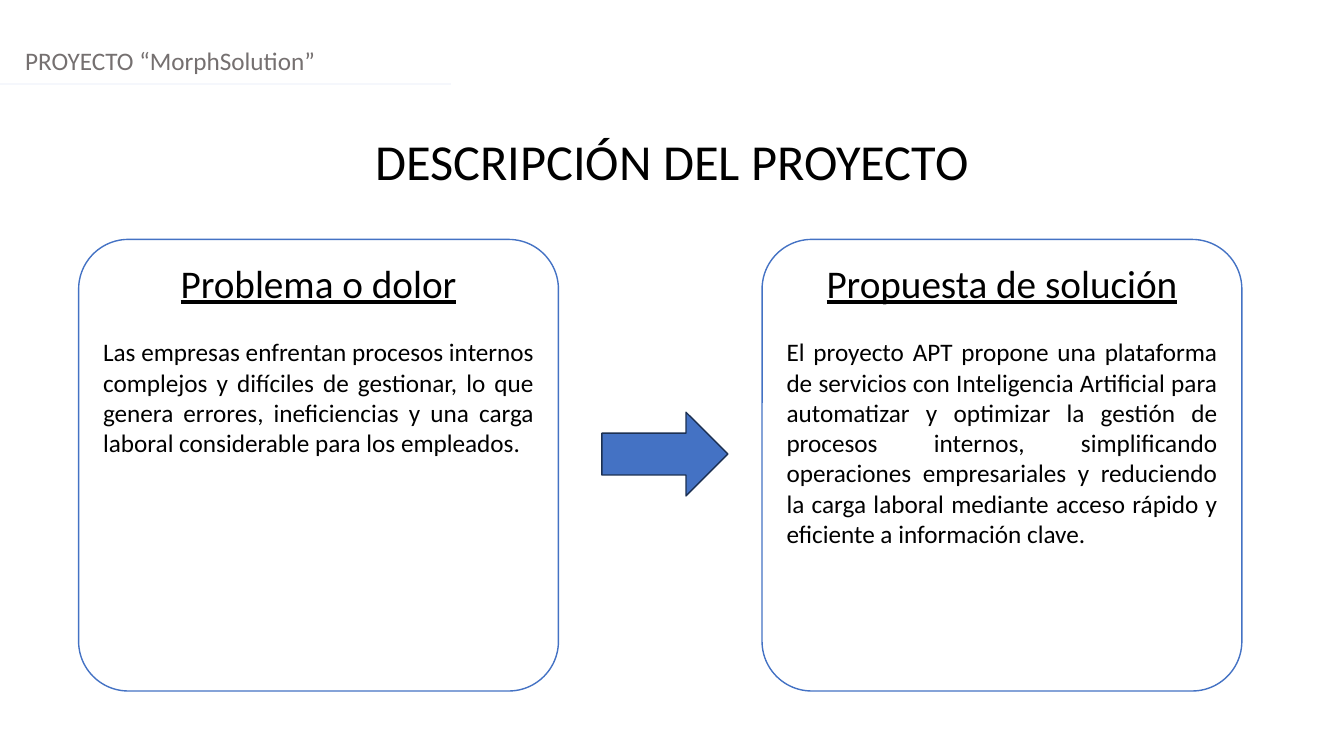
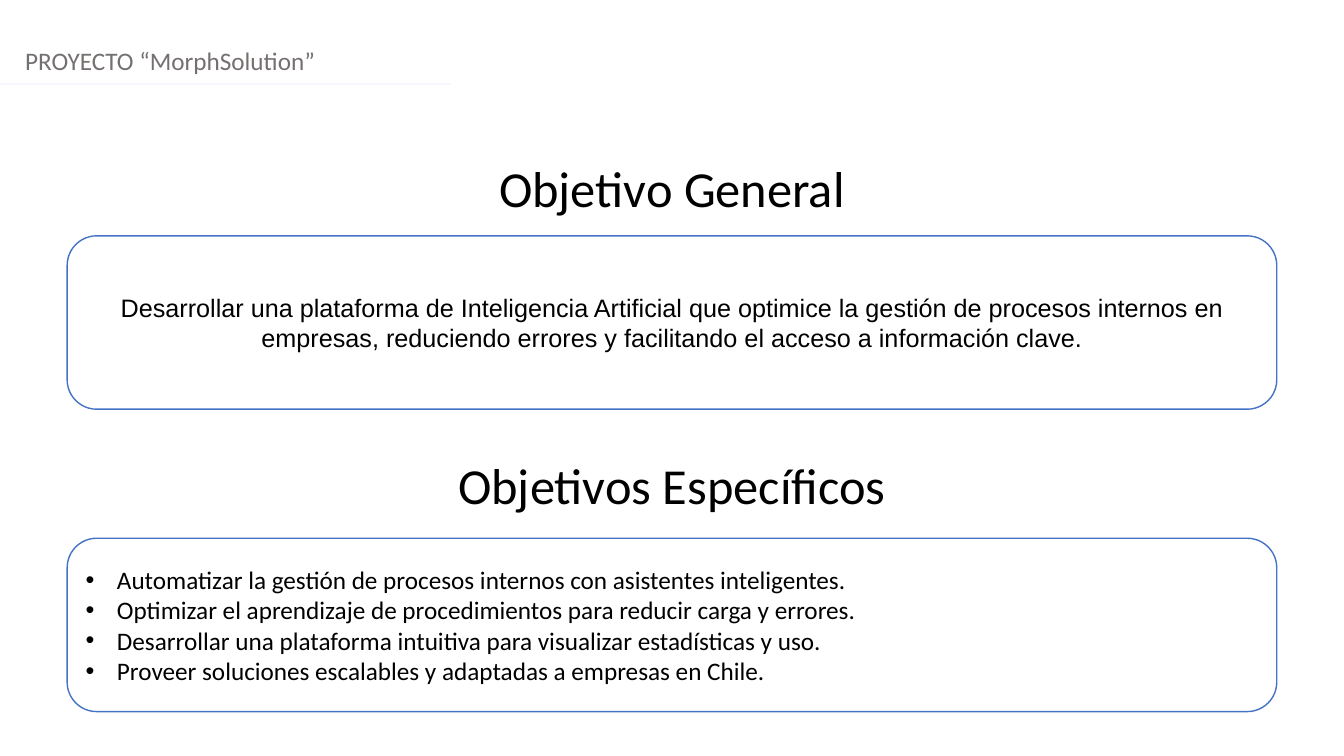
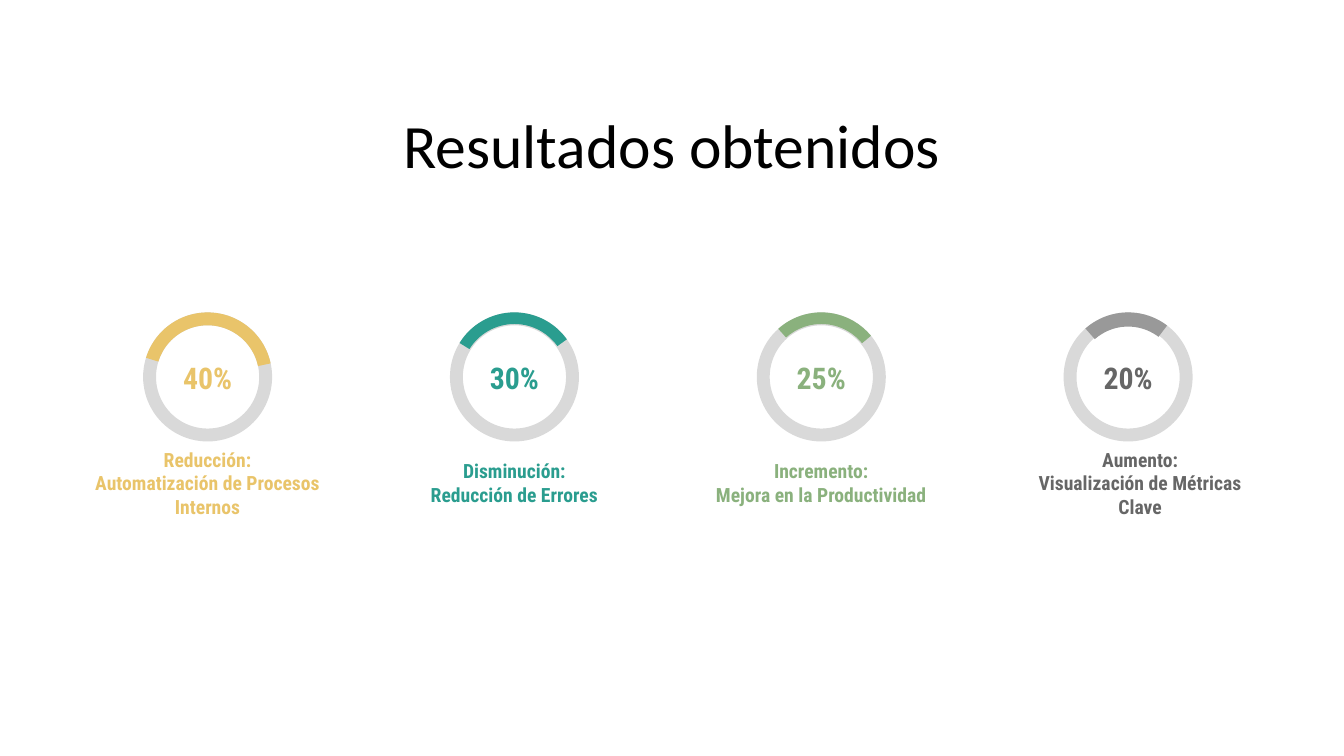
import pptx
import pptx.dml.color
import pptx.enum.shapes
import pptx.enum.text
import pptx.oxml.xmlchemy
import pptx.util

WIDTH, HEIGHT = pptx.util.Inches(13.33), pptx.util.Inches(7.5)
BLACK, WHITE, BLUE, NAVY = "000000", "FFFFFF", "4472C4", "1C3052"
GREY, RULE, TRACK = "757070", "F5F7FC", "D9D9D9"
BODY, LABEL = "Calibri", "Roboto Condensed"
SHAPE = pptx.enum.shapes.MSO_SHAPE
ALIGN = pptx.enum.text.PP_ALIGN
ANCHOR = pptx.enum.text.MSO_ANCHOR


def rgb(color):
    """Turn a hex string into a colour."""
    return pptx.dml.color.RGBColor.from_string(color)


def place(x, y, w, h):
    """Turn percentages of the slide into left, top, width and height."""
    return [int(side * share / 100) for side, share in
            ((WIDTH, x), (HEIGHT, y), (WIDTH, w), (HEIGHT, h))]


def set_frame(sp, anchor=ANCHOR.TOP, inset=None):
    """Make the shape's text wrap inside its margins and return its frame."""
    tf = sp.text_frame
    tf.word_wrap = True
    tf.vertical_anchor = anchor
    if inset is not None:
        margin = pptx.util.Inches(inset)
        tf.margin_left = tf.margin_right = margin
        tf.margin_top = tf.margin_bottom = margin
    return tf


def add_paragraph(tf, text, size, color=BLACK, font=BODY, align=ALIGN.CENTER,
                  bold=False, underline=False, after=0):
    """Write one paragraph, using the frame's first one while it is empty."""
    p = tf.paragraphs[0] if not tf.paragraphs[0].runs else tf.add_paragraph()
    p.alignment = align
    p.space_after = pptx.util.Pt(after)
    r = p.add_run()
    r.text = text
    r.font.name = font
    r.font.size = pptx.util.Pt(size)
    r.font.bold = bold
    r.font.underline = underline
    r.font.color.rgb = rgb(color)
    return p


def add_bullet(p):
    """Give a paragraph a round bullet with a hanging indent."""
    pPr = p._p.get_or_add_pPr()
    indent = pptx.util.Inches(0.31)
    pPr.set("marL", str(indent))
    pPr.set("indent", str(-indent))
    for tag, key, value in (("a:buFont", "typeface", "Arial"),
                            ("a:buChar", "char", "•")):
        bullet = pptx.oxml.xmlchemy.OxmlElement(tag)
        bullet.set(key, value)
        pPr.append(bullet)


def add_shape(slide, kind, box, fill, line=None, adjustments=()):
    """Draw a flat preset shape."""
    sp = slide.shapes.add_shape(kind, *place(*box))
    sp.shadow.inherit = False
    sp.fill.solid()
    sp.fill.fore_color.rgb = rgb(fill)
    if line:
        sp.line.color.rgb = rgb(line)
        sp.line.width = pptx.util.Pt(1)
    else:
        sp.line.fill.background()
    for i, value in enumerate(adjustments):
        sp.adjustments[i] = value
    return sp


def add_label(slide, box, lines, size, color):
    """Write bold centred lines in the middle of a box."""
    sp = slide.shapes.add_textbox(*place(*box))
    tf = set_frame(sp, ANCHOR.MIDDLE, 0.13)
    for text in lines:
        add_paragraph(tf, text, size, color, LABEL, bold=True)


def add_title(slide, y, text, size=36):
    """Write a title centred across the slide."""
    sp = slide.shapes.add_textbox(*place(0, y, 100, size * 0.26))
    add_paragraph(set_frame(sp), text, size)


def add_header(slide):
    """Write the project name with a thin rule below it."""
    sp = slide.shapes.add_textbox(*place(1.13, 5.33, 98, 5.33))
    add_paragraph(set_frame(sp), "PROYECTO “MorphSolution”", 18, GREY, align=ALIGN.LEFT)
    x, y, w, h = place(0, 11.07, 33.53, 0)
    rule = slide.shapes.add_connector(
        pptx.enum.shapes.MSO_CONNECTOR.STRAIGHT, x, y, x + w, y + h)
    rule.line.color.rgb = rgb(RULE)
    rule.line.width = pptx.util.Pt(1.25)
    rule._element.spPr.append(pptx.oxml.xmlchemy.OxmlElement("a:effectLst"))


def add_card(slide, x, heading, body):
    """Draw a rounded card with an underlined heading and justified text."""
    sp = add_shape(slide, SHAPE.ROUNDED_RECTANGLE, (x, 31.67, 35.7, 59.73),
                   WHITE, BLUE, [0.11])
    tf = set_frame(sp)
    add_paragraph(tf, heading, 28, underline=True, after=22)
    add_paragraph(tf, body, 18, align=ALIGN.JUSTIFY)


def add_panel(slide, y):
    """Draw a wide rounded panel and return its text frame."""
    sp = add_shape(slide, SHAPE.ROUNDED_RECTANGLE, (5, y, 90, 22.93),
                   WHITE, BLUE, [0.17])
    return set_frame(sp, ANCHOR.MIDDLE)


def add_gauge(slide, center, value, start, end, thickness, color, ink, lines, shift=0):
    """Draw a ring with an arc in degrees, its value and its caption."""
    ring = (center - 4.8, 41.33, 9.6, 17.07)
    add_shape(slide, SHAPE.DONUT, ring, TRACK, adjustments=[0.1])
    add_shape(slide, SHAPE.BLOCK_ARC, ring, color,
              adjustments=[start * 0.6, end * 0.6, thickness])
    add_label(slide, (center - 3.27, 46.8, 6.53, 6.27), [value], 21.3, ink)
    add_label(slide, (center - 9.38 + shift, 58.67, 18.75, 10.4), lines, 14, ink)


def build_description(slide):
    """Set the problem beside the proposed solution."""
    add_header(slide)
    add_title(slide, 16.53, "DESCRIPCIÓN DEL PROYECTO")
    add_card(slide, 5.85, "Problema o dolor",
             "Las empresas enfrentan procesos internos complejos y difíciles de "
             "gestionar, lo que genera errores, ineficiencias y una carga laboral "
             "considerable para los empleados.")
    add_card(slide, 56.7, "Propuesta de solución",
             "El proyecto APT propone una plataforma de servicios con Inteligencia "
             "Artificial para automatizar y optimizar la gestión de procesos internos, "
             "simplificando operaciones empresariales y reduciendo la carga laboral "
             "mediante acceso rápido y eficiente a información clave.")
    add_shape(slide, SHAPE.RIGHT_ARROW, (44.78, 54.53, 9.38, 11.07), BLUE, NAVY)


def build_objectives(slide):
    """Show the general objective above the specific ones."""
    add_header(slide)
    add_title(slide, 20.13, "Objetivo General")
    add_paragraph(add_panel(slide, 31.2),
                  "Desarrollar una plataforma de Inteligencia Artificial que optimice "
                  "la gestión de procesos internos en empresas, reduciendo errores y "
                  "facilitando el acceso a información clave.", 18, font="Arial")
    add_title(slide, 59.47, "Objetivos Específicos")
    tf = add_panel(slide, 71.2)
    for text in (
            "Automatizar la gestión de procesos internos con asistentes inteligentes.",
            "Optimizar el aprendizaje de procedimientos para reducir carga y errores.",
            "Desarrollar una plataforma intuitiva para visualizar estadísticas y uso.",
            "Proveer soluciones escalables y adaptadas a empresas en Chile."):
        add_bullet(add_paragraph(tf, text, 18, align=ALIGN.JUSTIFY))


def build_results(slide):
    """Show the four results as a row of gauges."""
    add_title(slide, 13.47, "Resultados obtenidos", 44)
    gauges = (
        ("40%", 197.29, 347.86, 0.1, "E9C46A", "E9C46A",
         ("Reducción:", "Automatización de Procesos Internos")),
        ("30%", 211.75, 324.37, 0.09, "2A9D8F", "2A9D8F",
         ("Disminución:", "Reducción de Errores")),
        ("25%", 228.21, 320.4, 0.09, "8AB17D", "8AB17D",
         ("Incremento:", "Mejora en la Productividad")),
        ("20%", 228.63, 307.2, 0.11, "999999", "666666",
         ("Aumento:", "Visualización de Métricas Clave"), 0.9),
    )
    for i, gauge in enumerate(gauges):
        add_gauge(slide, 15.45 + 22.83 * i, *gauge)


def main():
    """Build the three slides and save them."""
    prs = pptx.Presentation()
    prs.slide_width, prs.slide_height = WIDTH, HEIGHT
    for build in (build_description, build_objectives, build_results):
        build(prs.slides.add_slide(prs.slide_layouts[6]))
    prs.save("out.pptx")


if __name__ == "__main__":
    main()
